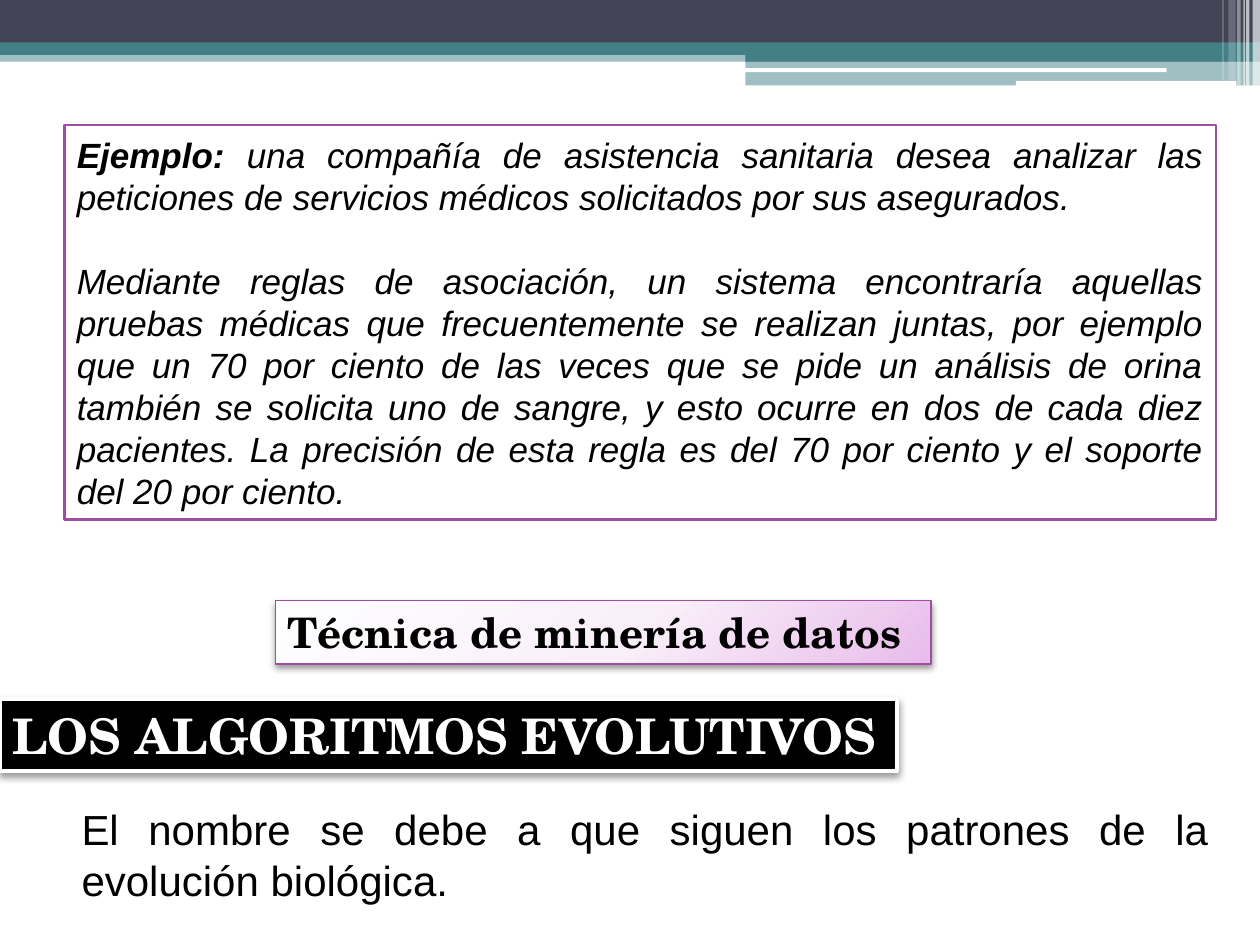
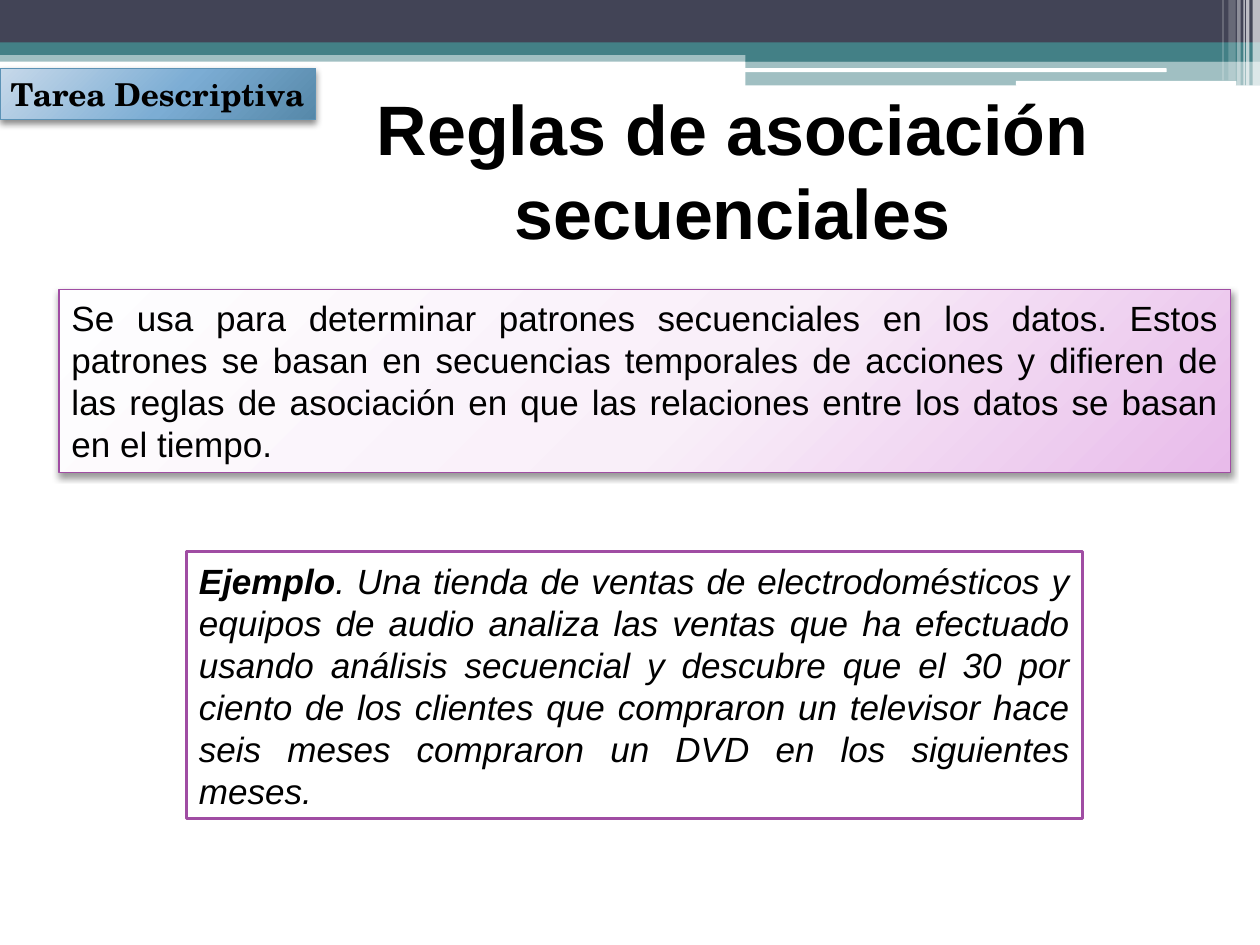
"""Build two slides on association rules and evolutionary algorithms."""
from pptx import Presentation
from pptx.dml.color import RGBColor
from pptx.enum import shapes, text
from pptx.oxml import ns, parse_xml
from pptx.util import Pt

SANS, SERIF = "Arial", "TeX Gyre Schola"
BLACK, WHITE = "000000", "FFFFFF"
NAVY, TEAL, PURPLE, BLUE = "424456", "438086", "A04DA3", "5C92B5"
LILAC_GLOW = ((0, "FEFEFF"), (55, "F9EFF9"), (100, "E8BBEA"))
BLUE_GLOW = ((0, "C7D9EA"), (55, "7CADD4"), (100, "5688A9"))
JUSTIFY, CENTER, LEFT = (
    text.PP_ALIGN.JUSTIFY, text.PP_ALIGN.CENTER, text.PP_ALIGN.LEFT)
RECTANGLE = shapes.MSO_SHAPE.RECTANGLE
ROUNDED = shapes.MSO_SHAPE.ROUNDED_RECTANGLE
TOP, MIDDLE = text.MSO_ANCHOR.TOP, text.MSO_ANCHOR.MIDDLE

BANDS = (
    (0, 28.8, 720, 6.5, TEAL, 50),
    (0, 0, 720, 25, NAVY, 100),
    (0, 24.2, 720, 7.2, TEAL, 100),
    (426, 28, 294, 7.2, TEAL, 100),
    (426, 34.6, 294, 14.2, TEAL, 50),
)
WHITE_BARS = ((425.5, 39, 241.2, 2.2), (580.5, 46.2, 126, 2.8))
STRIPES = (
    (715.8, 4.2, 49, 65),
    (712, 2, 49, 65),
    (710.6, 0.8, 49, 60),
    (707, 2, 49, 40),
    (702, 4.2, 46, 20),
    (698.5, 0.8, 46, 30),
)


def color(value):
    """Turn a hex string into a colour."""
    return RGBColor.from_string(value)


def add_block(slide, area, fill, opacity=100, line=None, width=0.75,
              kind=RECTANGLE):
    """Add a filled shape; without a line colour it has no outline."""
    shape = slide.shapes.add_shape(kind, *map(Pt, area))
    shape.shadow.inherit = False
    shape.fill.solid()
    shape.fill.fore_color.rgb = color(fill)
    if opacity < 100:
        tint = shape.element.spPr.find(".//" + ns.qn("a:srgbClr"))
        tint.append(parse_xml(
            f'<a:alpha {ns.nsdecls("a")} val="{opacity * 1000}"/>'))
    if line:
        shape.line.color.rgb = color(line)
        shape.line.width = Pt(width)
    else:
        shape.line.fill.background()
    return shape


def add_glow(shape, stops):
    """Replace a solid fill by a circular gradient."""
    marks = "".join(
        f'<a:gs pos="{place * 1000}"><a:srgbClr val="{value}"/></a:gs>'
        for place, value in stops)
    gradient = parse_xml(
        f'<a:gradFill {ns.nsdecls("a")}><a:gsLst>{marks}</a:gsLst>'
        '<a:path path="circle"><a:fillToRect l="-40000" t="-90000" '
        'r="140000" b="190000"/></a:path></a:gradFill>')
    properties = shape.element.spPr
    properties.replace(properties.find(ns.qn("a:solidFill")), gradient)


def add_shadow(shape, opacity=40):
    """Give a shape a soft shadow below it."""
    effects = shape.element.spPr.find(ns.qn("a:effectLst"))
    effects.append(parse_xml(
        f'<a:outerShdw {ns.nsdecls("a")} blurRad="{Pt(4)}" dist="{Pt(2)}" '
        'dir="5400000" rotWithShape="0"><a:srgbClr val="000000">'
        f'<a:alpha val="{opacity * 1000}"/></a:srgbClr></a:outerShdw>'))


def write(shape, *paragraphs, size=20, font=SANS, ink=BLACK, bold=False,
          italic=False, lead="", align=JUSTIFY, anchor=TOP, gap=0,
          side=7.2, edge=3.6):
    """Write paragraphs, the first one opened by an optional bold lead."""
    frame = shape.text_frame
    frame.word_wrap = True
    frame.auto_size = text.MSO_AUTO_SIZE.NONE
    frame.vertical_anchor = anchor
    frame.margin_left = frame.margin_right = Pt(side)
    frame.margin_top = frame.margin_bottom = Pt(edge)
    for index, content in enumerate(paragraphs):
        paragraph = frame.add_paragraph() if index else frame.paragraphs[0]
        paragraph.alignment = align
        paragraph.line_spacing = Pt(size * 1.2)
        paragraph.space_before = Pt(gap if index else 0)
        pieces = [(content, bold)]
        if lead and not index:
            pieces.insert(0, (lead, True))
        for words, heavy in pieces:
            run = paragraph.add_run()
            run.text = words
            run.font.name = font
            run.font.size = Pt(size)
            run.font.bold = heavy
            run.font.italic = italic
            run.font.color.rgb = color(ink)


def add_header(slide):
    """Draw the bands and stripes along the top of a slide."""
    for *area, fill, opacity in BANDS:
        add_block(slide, area, fill, opacity)
    for area in WHITE_BARS:
        add_block(slide, area, WHITE, kind=ROUNDED)
    for left, width, height, opacity in STRIPES:
        add_block(slide, (left, 0, width, height), WHITE, opacity)


def add_example(slide, area, lead, *paragraphs):
    """Add an outlined box with an example in italics."""
    box = add_block(slide, area, WHITE, line=PURPLE, width=1.5)
    write(box, *paragraphs, lead=lead, italic=True, anchor=MIDDLE, gap=24)


def add_label(slide, area, words, stops=LILAC_GLOW, line=PURPLE, opacity=40,
              **style):
    """Add a shaded box with a shadow."""
    box = add_block(slide, area, WHITE, line=line)
    add_glow(box, stops)
    add_shadow(box, opacity)
    write(box, words, **style)


def add_banner(slide, area, words):
    """Add a black section banner with a white edge."""
    banner = add_block(slide, area, BLACK, line=WHITE, width=2.5)
    add_shadow(banner)
    write(banner, words, size=28, font=SERIF, ink=WHITE, bold=True, align=LEFT)


def add_title(slide, area, words):
    """Place and format the title."""
    title = slide.shapes.title
    title.left, title.top, title.width, title.height = map(Pt, area)
    write(title, words, size=40, bold=True, align=CENTER, anchor=MIDDLE,
          edge=0)


def build_evolutionary(presentation):
    """Build the slide that leads on to evolutionary algorithms."""
    slide = presentation.slides.add_slide(presentation.slide_layouts[6])
    add_header(slide)
    add_example(
        slide, (36.8, 71.5, 658, 225.5), "Ejemplo: ",
        "una compañía de asistencia sanitaria desea analizar las peticiones "
        "de servicios médicos solicitados por sus asegurados.",
        "Mediante reglas de asociación, un sistema encontraría aquellas "
        "pruebas médicas que frecuentemente se realizan juntas, por ejemplo "
        "que un 70 por ciento de las veces que se pide un análisis de orina "
        "también se solicita uno de sangre, y esto ocurre en dos de cada diez "
        "pacientes. La precisión de esta regla es del 70 por ciento y el "
        "soporte del 20 por ciento.")
    add_label(slide, (157.5, 343.2, 374.5, 36.2), "Técnica de minería de datos",
              size=24, font=SERIF, bold=True, align=LEFT)
    add_banner(slide, (0, 399.6, 512.5, 41), "LOS ALGORITMOS EVOLUTIVOS")
    note = slide.shapes.add_textbox(*map(Pt, (39.5, 455.8, 658, 65.5)))
    write(note, "El nombre se debe a que siguen los patrones de la evolución "
          "biológica.", size=24)


def build_sequential(presentation):
    """Build the slide on sequential association rules."""
    slide = presentation.slides.add_slide(presentation.slide_layouts[5])
    add_header(slide)
    add_title(slide, (181, 49, 475, 96), "Reglas de asociación secuenciales")
    add_label(slide, (0, 39.2, 180.2, 29), "Tarea Descriptiva",
              stops=BLUE_GLOW, line=BLUE, opacity=45, size=18, font=SERIF,
              bold=True, align=CENTER, anchor=MIDDLE, side=2)
    add_label(
        slide, (33.8, 165.6, 669.6, 104.4),
        "Se usa para determinar patrones secuenciales en los datos. Estos "
        "patrones se basan en secuencias temporales de acciones y difieren de "
        "las reglas de asociación en que las relaciones entre los datos se "
        "basan en el tiempo.")
    add_example(
        slide, (106.6, 315.2, 512, 152.6), "Ejemplo",
        ". Una tienda de ventas de electrodomésticos y equipos de audio "
        "analiza las ventas que ha efectuado usando análisis secuencial y "
        "descubre que el 30 por ciento de los clientes que compraron un "
        "televisor hace seis meses compraron un DVD en los siguientes meses.")


def main():
    """Build and save the presentation."""
    presentation = Presentation()
    presentation.slide_width, presentation.slide_height = Pt(720), Pt(540)
    build_evolutionary(presentation)
    build_sequential(presentation)
    presentation.save("out.pptx")


if __name__ == "__main__":
    main()
